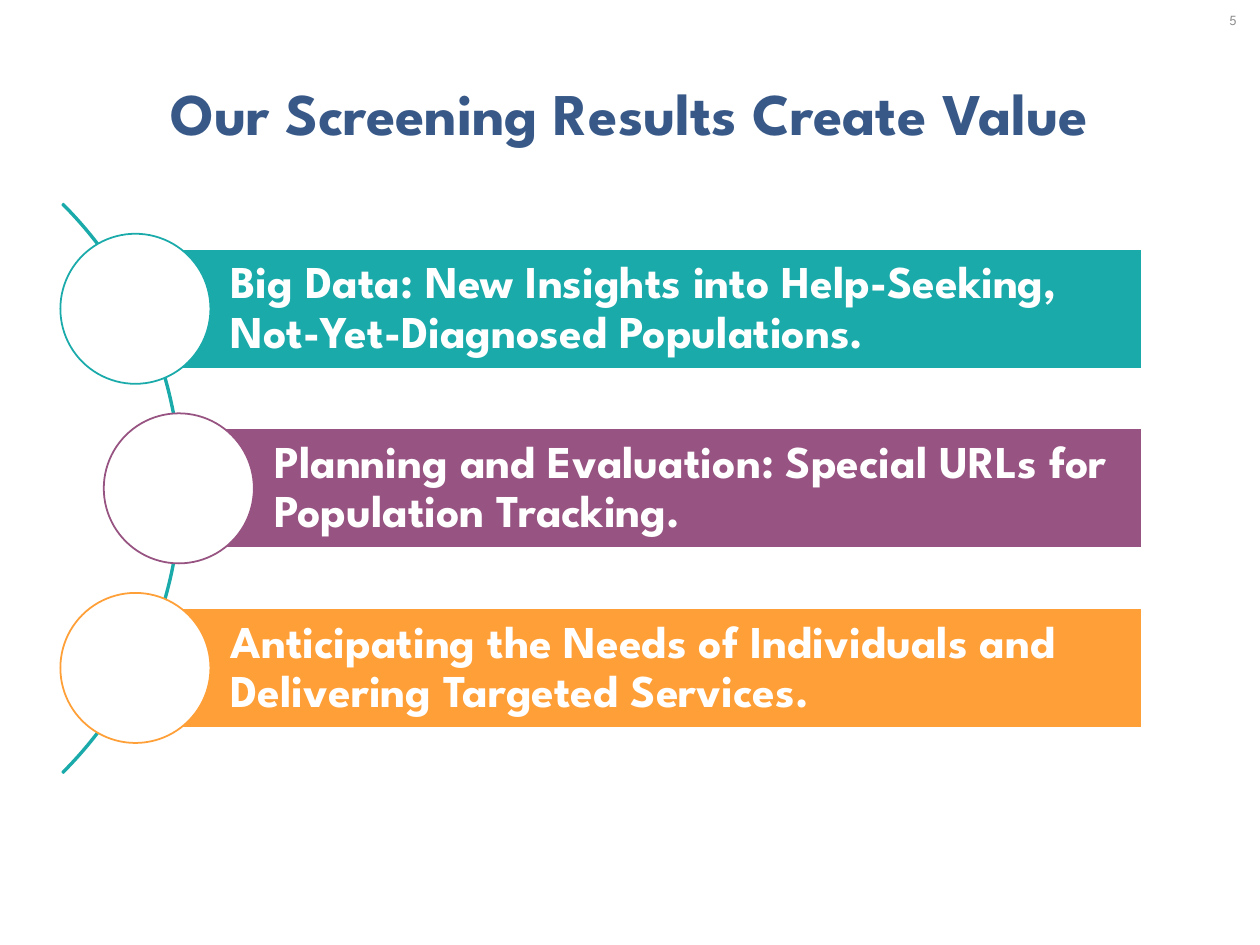
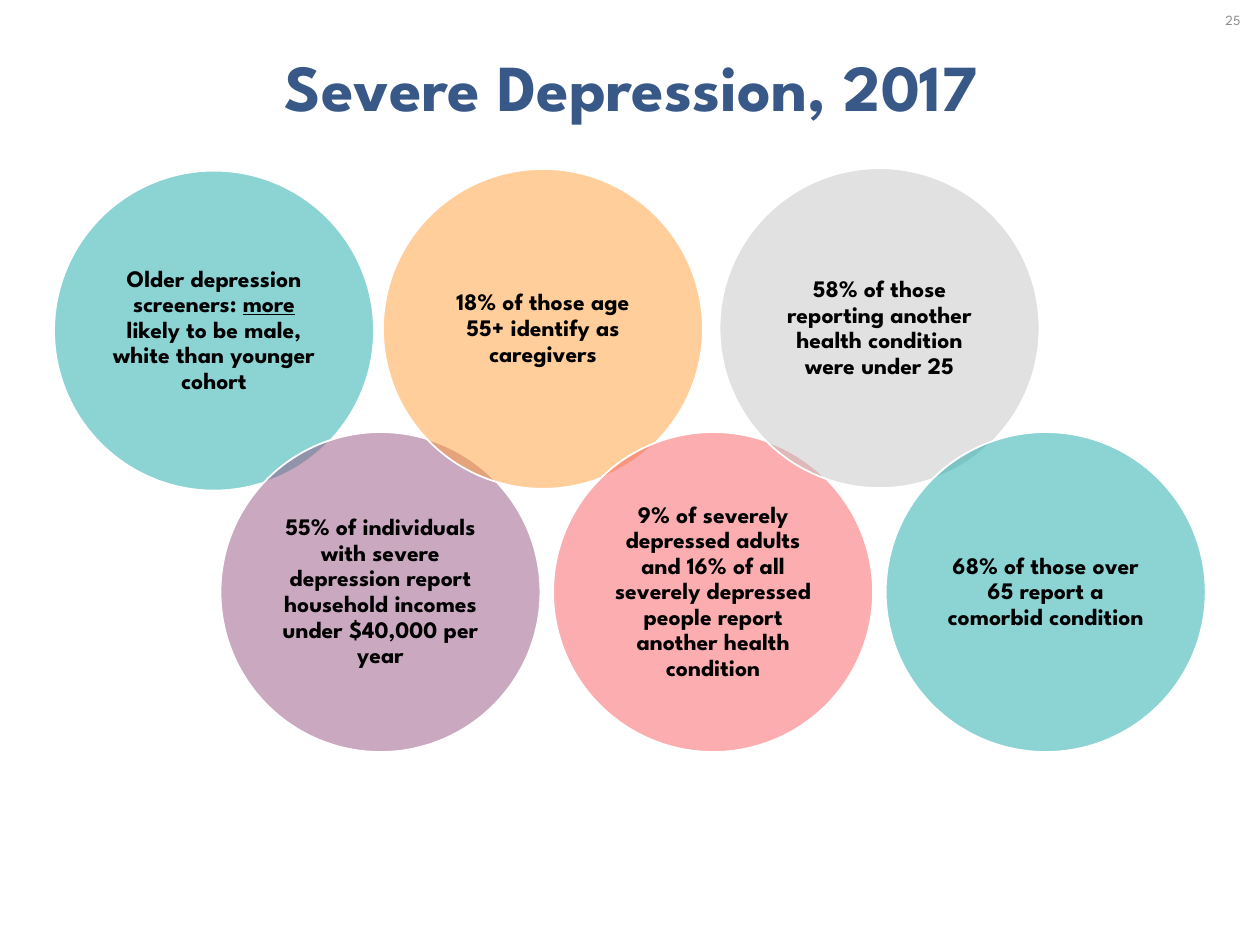
from lxml import etree
from pptx import Presentation
from pptx import util as u
from pptx.dml.color import RGBColor
from pptx.enum import shapes, text
from pptx.oxml import ns

FONT = "League Spartan"
COLOURS = {
    "navy": "385988", "teal": "1BAAAA", "plum": "975381", "orange": "FF9F37",
    "coral": "F95D62", "silver": "C5C5C5", "grey": "8C8C8C",
    "white": "FFFFFF", "black": "000000",
}

# Content: title, size, left, top, page number
VALUE_TITLE = ("Our Screening Results Create Value", 67.5, 2.11, 2.67, "5")
DEPRESSION_TITLE = ("Severe Depression, 2017", 75, 2.18, 1.6, "25")

# Bars: colour, left, text
BARS = [
    ("teal", 5.46, "Big Data: New Insights into Help-Seeking, "
                   "Not-Yet-Diagnosed Populations."),
    ("plum", 7.21, "Planning and Evaluation: Special URLs for Population Tracking."),
    ("orange", 5.46, "Anticipating the Needs of Individuals and "
                     "Delivering Targeted Services."),
]

# Circles from back to front: colour, left, top, text parts (every second one underlined)
LOW_ROW, LOW_LEFT, LOW_STEP = 17.42, 8.89, 13.41
CIRCLES = [
    ("teal", 2.18, 6.88, ["Older depression screeners: ", "more",
                          " likely to be male, white than younger cohort"]),
    ("plum", LOW_LEFT, LOW_ROW, ["55% of individuals with severe depression report "
                                 "household incomes under $40,000 per year"]),
    ("orange", 15.44, 6.81, ["18% of those age 55+ identify as caregivers"]),
    ("coral", LOW_LEFT + LOW_STEP, LOW_ROW,
     ["9% of severely depressed adults and 16% of all severely depressed "
      "people report another health condition"]),
    ("silver", 29.01, 6.78, ["58% of those reporting another health condition "
                             "were under 25"]),
    ("teal", LOW_LEFT + 2 * LOW_STEP, LOW_ROW,
     ["68% of those over 65 report a comorbid condition"]),
]


def rgb(name):
    return RGBColor.from_string(COLOURS[name])


def write(box, parts, size, colour, bold=True, align=text.PP_ALIGN.CENTER,
          spacing=None, insets=None):
    """Write text parts into a box; every second part is underlined."""
    frame = box.text_frame
    frame.word_wrap = True
    frame.vertical_anchor = text.MSO_ANCHOR.MIDDLE
    if insets:
        (frame.margin_left, frame.margin_top,
         frame.margin_right, frame.margin_bottom) = map(u.Cm, insets)
    para = frame.paragraphs[0]
    para.alignment = align
    if spacing:
        para.line_spacing = spacing
    for index, part in enumerate(parts):
        span = para.add_run()
        span.text = part
        span.font.name = FONT
        span.font.size = u.Pt(size)
        span.font.bold = bold
        span.font.color.rgb = rgb(colour)
        if index % 2:
            span.font.underline = True


def add_shape(page, kind, left, top, width, height, fill=None, line="white", alpha=None):
    shape = page.shapes.add_shape(kind, *map(u.Cm, (left, top, width, height)))
    shape.shadow.inherit = False
    shape.line.color.rgb = rgb(line)
    shape.line.width = u.Pt(2)
    if fill is None:
        shape.fill.background()
        return shape
    shape.fill.solid()
    shape.fill.fore_color.rgb = rgb(fill)
    if alpha:
        colour = shape.fill._xPr.find(".//" + ns.qn("a:srgbClr"))
        etree.SubElement(colour, ns.qn("a:alpha"), val=str(alpha * 1000))
    return shape


def add_page(deck, title, size, left, top, number):
    """Add a blank page with the shared title and page number."""
    page = deck.slides.add_slide(deck.slide_layouts[6])
    heading = page.shapes.add_textbox(u.Cm(left), u.Cm(top), u.Cm(46.51), u.Cm(3.68))
    write(heading, [title], size, "navy")
    corner = page.shapes.add_textbox(u.Cm(48.62), u.Cm(0), u.Cm(2.18), u.Cm(1.6))
    write(corner, [number], 16, "grey", bold=False)
    return page


def build_value_page(deck):
    page = add_page(deck, *VALUE_TITLE)
    middle, step, right = 19.69, 7.24, 46.02
    bar_height, disc, arc = 4.83, 6.05, 32.46

    # Arc behind the bars
    curve = add_shape(page, shapes.MSO_SHAPE.BLOCK_ARC, -25.15, middle - arc / 2,
                      arc, arc, line="teal")
    for index, value in enumerate((189, 27, 0.002)):
        curve.adjustments[index] = value

    # Bars, each with a disc centred on its left end
    for index, (colour, left, words) in enumerate(BARS):
        centre = middle + (index - 1) * step
        bar = add_shape(page, shapes.MSO_SHAPE.RECTANGLE, left, centre - bar_height / 2,
                        right - left, bar_height, fill=colour)
        write(bar, [words], 52, "white", align=text.PP_ALIGN.LEFT, spacing=0.9,
              insets=(3.84, 0.36, 0.36, 0.36))
        add_shape(page, shapes.MSO_SHAPE.OVAL, left - disc / 2, centre - disc / 2,
                  disc, disc, fill="white", line=colour)


def build_depression_page(deck):
    page = add_page(deck, *DEPRESSION_TITLE)
    size = 12.9
    for colour, left, top, parts in CIRCLES:
        circle = add_shape(page, shapes.MSO_SHAPE.OVAL, left, top, size, size,
                           fill=colour, alpha=50)
        write(circle, parts, 27, "black", spacing=0.9, insets=(0.28,) * 4)


def main():
    deck = Presentation()
    deck.slide_width, deck.slide_height = u.Cm(50.8), u.Cm(38.1)
    build_value_page(deck)
    build_depression_page(deck)
    deck.save("out.pptx")


if __name__ == "__main__":
    main()
